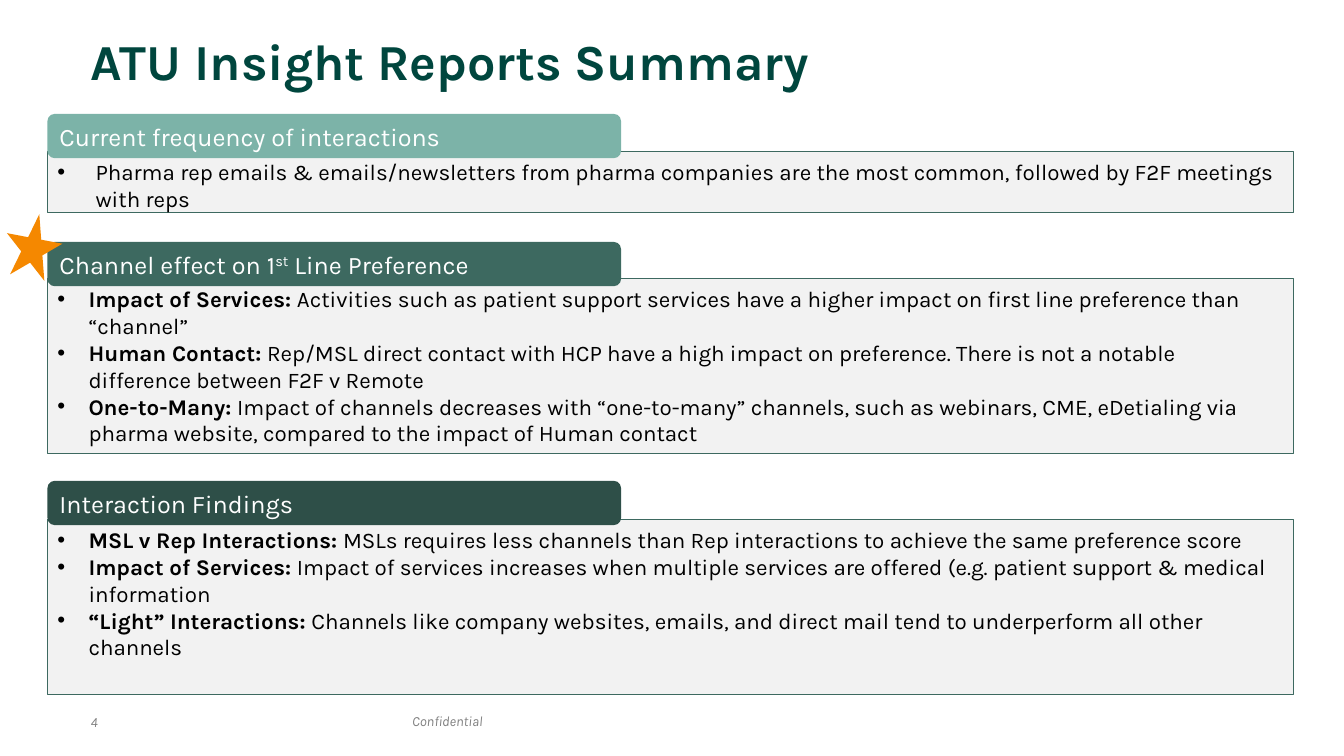
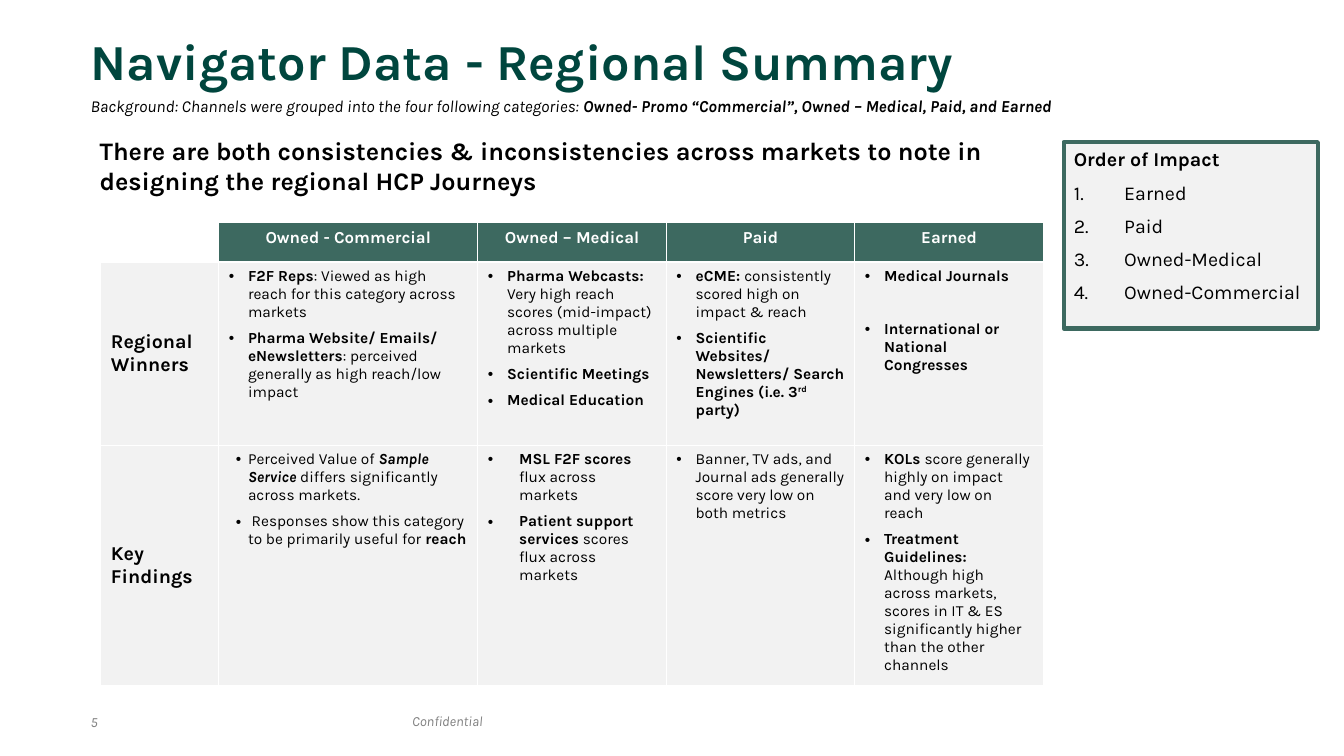
from pptx import Presentation
from pptx.dml.color import RGBColor
from pptx.enum.shapes import MSO_SHAPE as Preset
from pptx.enum.text import MSO_ANCHOR as Anchor, MSO_AUTO_SIZE as AutoSize, PP_ALIGN as Align
from pptx.oxml.ns import qn
from pptx.util import Inches, Pt
from lxml.etree import SubElement

FONT = "Karla"
TITLE_GREEN = RGBColor(0x00, 0x46, 0x3E)
LIGHT_GREEN = RGBColor(0x7C, 0xB3, 0xA8)
MID_GREEN = RGBColor(0x3D, 0x69, 0x60)
DARK_GREEN = RGBColor(0x2E, 0x4F, 0x48)
ORANGE = RGBColor(0xF5, 0x88, 0x00)
PALE_GRAY = RGBColor(0xF2, 0xF2, 0xF2)
FOOTER_GRAY = RGBColor(0x80, 0x80, 0x80)
BLACK = RGBColor(0x00, 0x00, 0x00)
WHITE = RGBColor(0xFF, 0xFF, 0xFF)

TITLE_ONLY, TITLE_AND_BODY = 5, 1

# Marks inside texts switch a format on and off: *bold*, _italic_, ^superscript^
MARKS = {"*": "bold", "_": "italic", "^": "raised"}

# Band title, band colour, band top, panel top, panel height, indent, points
SECTIONS = [
    ("Current frequency of interactions", LIGHT_GREEN, 1.13, 1.5, 0.61, 0.38, [
        "Pharma rep emails & emails/newsletters from pharma companies are the most common, "
        "followed by F2F meetings with reps",
    ]),
    ("Channel effect on 1^st^ Line Preference", MID_GREEN, 2.4, 2.76, 1.74, 0.31, [
        "*Impact of Services: *Activities such as patient support services have a higher impact "
        "on first line preference than “channel”",
        "*Human Contact: *Rep/MSL direct contact with HCP have a high impact on preference. "
        "There is not a notable difference between F2F v Remote",
        "*One-to-Many: *Impact of channels decreases with “one-to-many” channels, such as "
        "webinars, CME, eDetialing via pharma website, compared to the impact of Human contact",
    ]),
    ("Interaction Findings", DARK_GREEN, 4.77, 5.15, 1.74, 0.31, [
        "*MSL v Rep Interactions: *MSLs requires less channels than Rep interactions to achieve "
        "the same preference score",
        "*Impact of Services: *Impact of services increases when multiple services are offered "
        "(e.g. patient support & medical information",
        "*“Light” Interactions: *Channels like company websites, emails, and direct mail tend "
        "to underperform all other channels",
    ]),
]

COLUMN_WIDTHS = [1.17, 2.57, 1.87, 1.87, 1.87]
ROW_HEIGHTS = [0.39, 1.82, 2.38]
CATEGORIES = ["Owned - Commercial", "Owned – Medical", "Paid", "Earned"]

# Row title, then for each category: indent, hanging, space before, points
FINDINGS = [
    ("Regional Winners", [
        (0.19, 0.19, 6, [
            "*F2F Reps*: Viewed as high reach for this category across markets",
            "*Pharma Website/ Emails/ eNewsletters*: perceived generally as high reach/low impact",
        ]),
        (0.19, 0.19, 6, [
            "*Pharma Webcasts:* Very high reach scores (mid-impact) across multiple markets",
            "*Scientific Meetings*",
            "*Medical Education*",
        ]),
        (0.19, 0.19, 6, [
            "*eCME: *consistently scored high on impact & reach",
            "*Scientific Websites/ Newsletters/ Search Engines (i.e. 3^rd^ party)*",
        ]),
        (0.19, 0.19, 25, ["*Medical Journals*", "*International or National Congresses*"]),
    ]),
    ("Key Findings", [
        (0.19, 0.12, 6, [
            "Perceived Value of *_Sample Service_* differs significantly across markets.",
            " Responses show this category to be primarily useful for *reach*",
        ]),
        (0.31, 0.31, 6, [
            "*MSL F2F scores* flux across markets",
            "*Patient support services* scores flux across markets",
        ]),
        (0.19, 0.19, 6, [
            "Banner, TV ads, and Journal ads generally score very low on both metrics",
        ]),
        (0.19, 0.19, 6, [
            "*KOLs *score generally highly on impact and very low on reach",
            "*Treatment Guidelines: *Although high across markets, scores in IT & ES "
            "significantly higher than the other channels",
        ]),
    ]),
]

IMPACT_ORDER = ["Earned", "Paid", "Owned-Medical", "Owned-Commercial"]


def add_span(para, text, size, color, bold=False, italic=False, raised=False):
    span = para.add_run()
    span.text = text
    font = span.font
    font.name, font.size, font.bold, font.italic = FONT, Pt(size), bold, italic
    font.color.rgb = color
    if raised:
        font._element.set("baseline", "30000")


def write(para, text, size, color=BLACK, align=Align.LEFT, **styles):
    """Write marked text into a paragraph, one span for each change of format."""
    para.alignment = align
    styles = {name: styles.get(name, False) for name in MARKS.values()}
    pending = ""
    for char in text:
        if char not in MARKS:
            pending += char
            continue
        if pending:
            add_span(para, pending, size, color, **styles)
        pending = ""
        styles[MARKS[char]] = not styles[MARKS[char]]
    if pending:
        add_span(para, pending, size, color, **styles)


def set_bullet(para, indent, hanging, numbered=False):
    props = para._p.get_or_add_pPr()
    props.set("marL", str(Inches(indent)))
    props.set("indent", str(-Inches(hanging)))
    if numbered:
        SubElement(props, qn("a:buFont"), typeface=FONT)
        SubElement(props, qn("a:buAutoNum"), type="arabicPeriod")
    else:
        SubElement(props, qn("a:buFont"), typeface="Arial")
        SubElement(props, qn("a:buChar"), char="•")


def remove_bullet(para):
    props = para._p.get_or_add_pPr()
    props.set("marL", "0")
    props.set("indent", "0")
    SubElement(props, qn("a:buNone"))


def next_para(frame, position):
    return frame.paragraphs[0] if position == 0 else frame.add_paragraph()


def write_bullets(frame, points, size, indent, hanging, before=0):
    for position, point in enumerate(points):
        para = next_para(frame, position)
        para.space_before = Pt(before if position else 0)
        set_bullet(para, indent, hanging)
        write(para, point, size)


def place(shape, left, top, width, height):
    shape.left, shape.top = Inches(left), Inches(top)
    shape.width, shape.height = Inches(width), Inches(height)


def paint(shape, fill, line=None, line_width=0.75):
    shape.shadow.inherit = False
    shape.fill.solid()
    shape.fill.fore_color.rgb = fill
    if line is None:
        shape.line.fill.background()
    else:
        shape.line.color.rgb = line
        shape.line.width = Pt(line_width)


def add_shape(slide, preset, left, top, width, height, fill, line=None):
    shape = slide.shapes.add_shape(
        preset, Inches(left), Inches(top), Inches(width), Inches(height))
    paint(shape, fill, line)
    return shape


def add_text_box(slide, text, left, top, width, height, wrap=True, **styles):
    box = slide.shapes.add_textbox(Inches(left), Inches(top), Inches(width), Inches(height))
    box.text_frame.word_wrap = wrap
    write(box.text_frame.paragraphs[0], text, **styles)


def add_slide(deck, layout, title, number):
    """Add a slide with the shared title style and footer."""
    slide = deck.slides.add_slide(deck.slide_layouts[layout])
    heading = slide.shapes.title
    place(heading, 0.8, 0.28, 11.82, 0.65)
    frame = heading.text_frame
    frame.auto_size = AutoSize.NONE
    frame.vertical_anchor = Anchor.TOP
    frame.margin_top, frame.margin_bottom = Inches(0.02), 0
    write(frame.paragraphs[0], title, 36, TITLE_GREEN, bold=True)
    for text, left, top, width in (("Confidential", 3.99, 7.02, 0.93), (str(number), 0.8, 7.03, 0.41)):
        add_text_box(slide, text, left, top, width, 0.27, wrap=False,
                     size=10, color=FOOTER_GRAY, italic=True)
    return slide


def add_section(slide, title, color, band_top, panel_top, panel_height, indent, points):
    """Add a bulleted panel with a coloured title band over its top edge."""
    panel = add_shape(slide, Preset.RECTANGLE, 0.47, panel_top, 12.36, panel_height,
                      PALE_GRAY, MID_GREEN)
    panel.text_frame.vertical_anchor = Anchor.TOP
    panel.text_frame.margin_top = Inches(0.07)
    write_bullets(panel.text_frame, points, 16, indent, indent)
    band = add_shape(slide, Preset.ROUNDED_RECTANGLE, 0.47, band_top, 5.69, 0.44, color)
    band.text_frame.vertical_anchor = Anchor.MIDDLE
    write(band.text_frame.paragraphs[0], title, 18, WHITE)


def fill_cell(cell, color):
    cell.fill.solid()
    cell.fill.fore_color.rgb = color


def add_findings_table(slide):
    table = slide.shapes.add_table(
        len(ROW_HEIGHTS), len(COLUMN_WIDTHS), Inches(1), Inches(2.21),
        Inches(sum(COLUMN_WIDTHS)), Inches(sum(ROW_HEIGHTS))).table
    table.horz_banding = False
    for column, width in zip(table.columns, COLUMN_WIDTHS):
        column.width = Inches(width)
    for row, height in zip(table.rows, ROW_HEIGHTS):
        row.height = Inches(height)

    corner = table.cell(0, 0)
    fill_cell(corner, WHITE)
    corner.margin_bottom = 0
    for column, category in enumerate(CATEGORIES, 1):
        cell = table.cell(0, column)
        fill_cell(cell, MID_GREEN)
        write(cell.text_frame.paragraphs[0], category, 12, WHITE, Align.CENTER, bold=True)

    for row, (title, groups) in enumerate(FINDINGS, 1):
        cell = table.cell(row, 0)
        fill_cell(cell, PALE_GRAY)
        cell.vertical_anchor = Anchor.MIDDLE
        write(cell.text_frame.paragraphs[0], title, 14, bold=True)
        for column, (indent, hanging, before, points) in enumerate(groups, 1):
            cell = table.cell(row, column)
            fill_cell(cell, PALE_GRAY)
            write_bullets(cell.text_frame, points, 11, indent, hanging, before)


def fill_impact_list(body):
    place(body, 10.55, 1.41, 2.52, 1.85)
    paint(body, PALE_GRAY, MID_GREEN, 3)
    frame = body.text_frame
    frame.auto_size = AutoSize.NONE
    frame.vertical_anchor = Anchor.TOP
    for position, text in enumerate(["*Order of Impact*"] + IMPACT_ORDER):
        para = next_para(frame, position)
        para.space_before = para.space_after = Pt(3.5)
        if position:
            set_bullet(para, 0.5, 0.5, numbered=True)
        else:
            remove_bullet(para)
        write(para, text, 14)


def build_insight_slide(deck):
    slide = add_slide(deck, TITLE_ONLY, "ATU Insight Reports Summary", 4)
    for section in SECTIONS:
        add_section(slide, *section)
    star = add_shape(slide, Preset.STAR_5_POINT, 0.05, 2.12, 0.56, 0.64, ORANGE)
    star.rotation = 10.8


def build_regional_slide(deck):
    slide = add_slide(deck, TITLE_AND_BODY, "Navigator Data - Regional Summary", 5)
    fill_impact_list(slide.placeholders[1])
    add_text_box(slide, "Background: Channels were grouped into the four following categories: "
                 "*Owned- Promo “Commercial”, Owned – Medical, Paid, and Earned*",
                 0.8, 0.9, 11.39, 0.31, size=12, italic=True)
    add_findings_table(slide)
    add_text_box(slide, "There are both consistencies & inconsistencies across markets to note in "
                 "designing the regional HCP Journeys", 0.89, 1.29, 9.66, 0.71, size=18, bold=True)


def main():
    deck = Presentation()
    deck.slide_width, deck.slide_height = Inches(13.33), Inches(7.5)
    build_insight_slide(deck)
    build_regional_slide(deck)
    deck.save("out.pptx")


if __name__ == "__main__":
    main()
